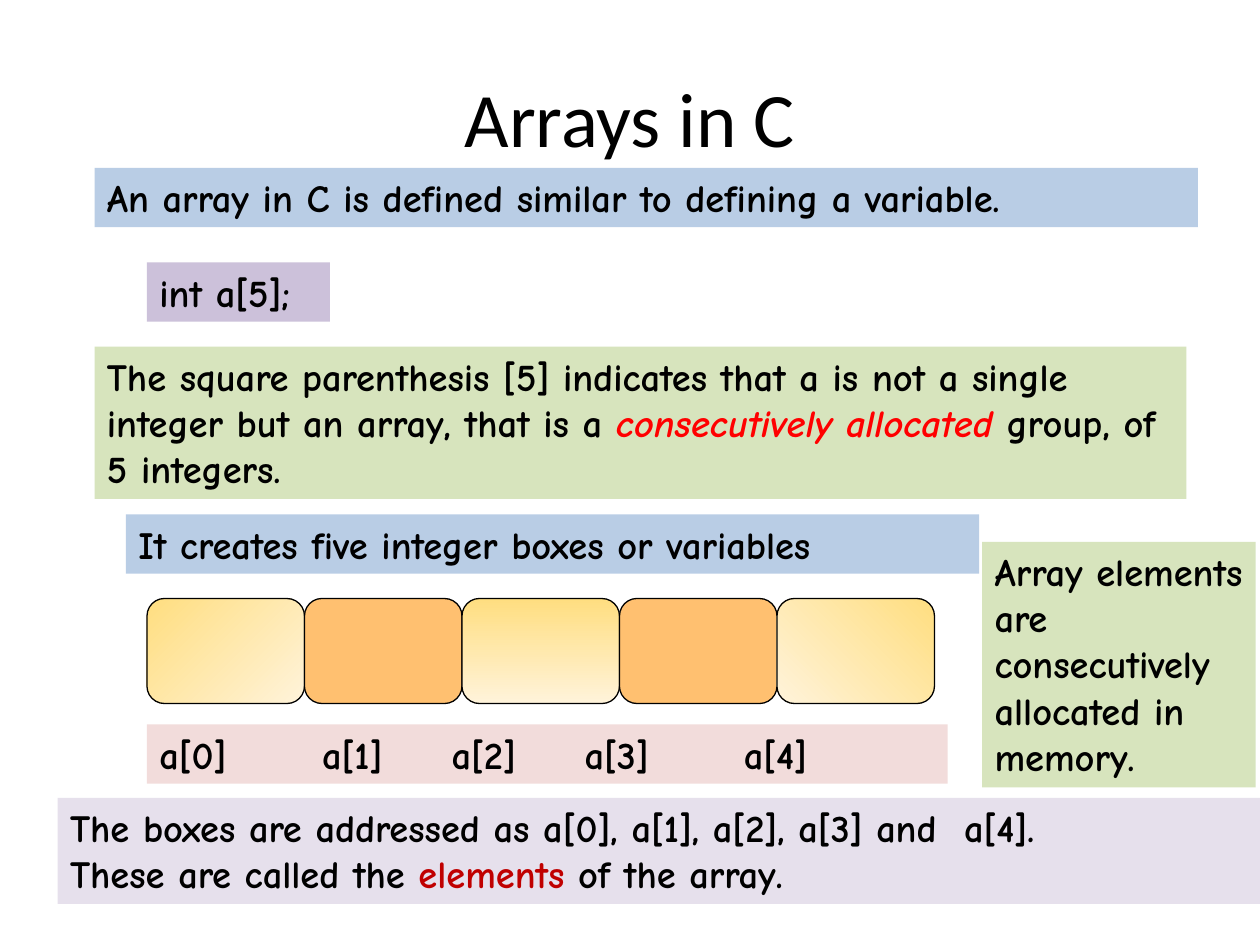
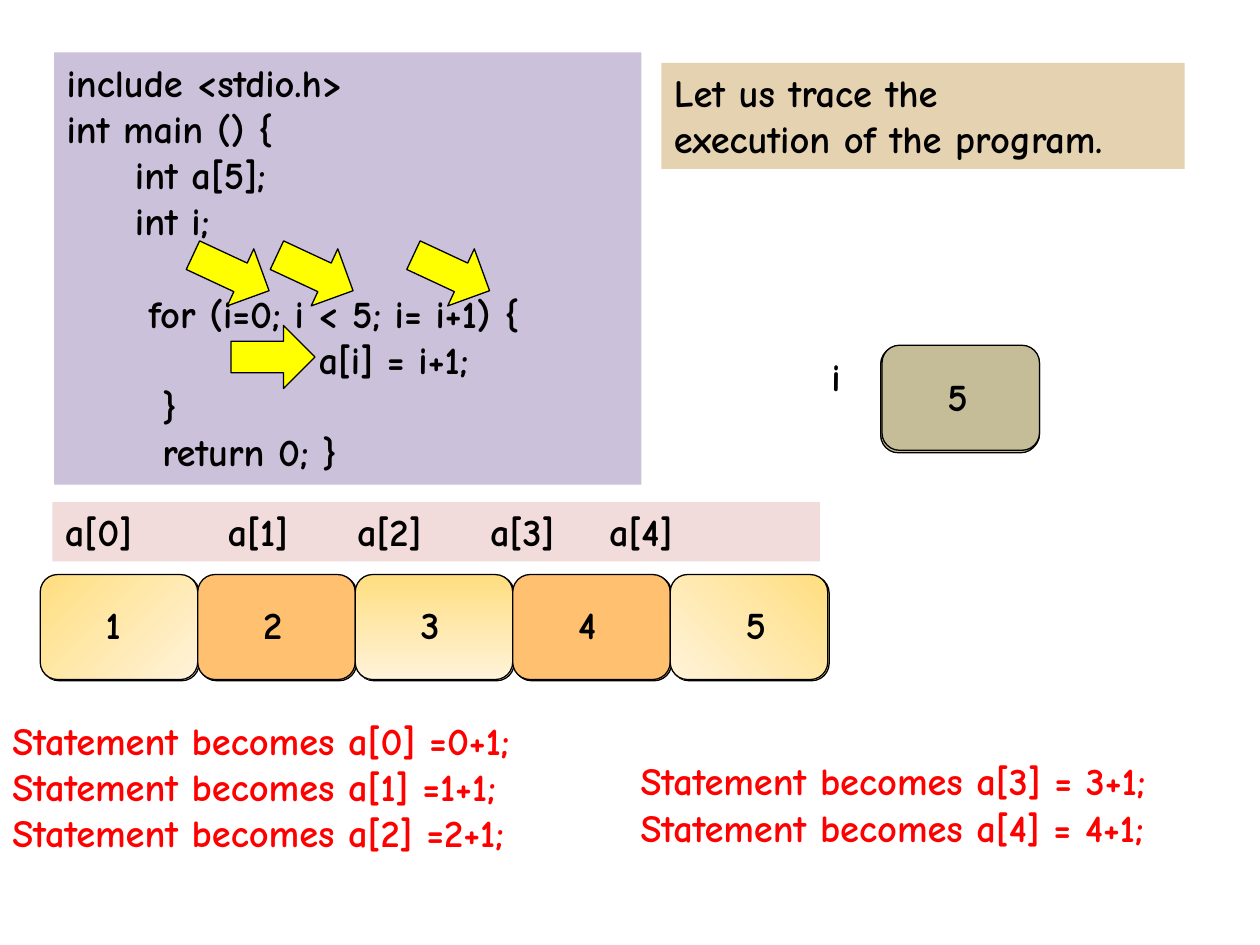
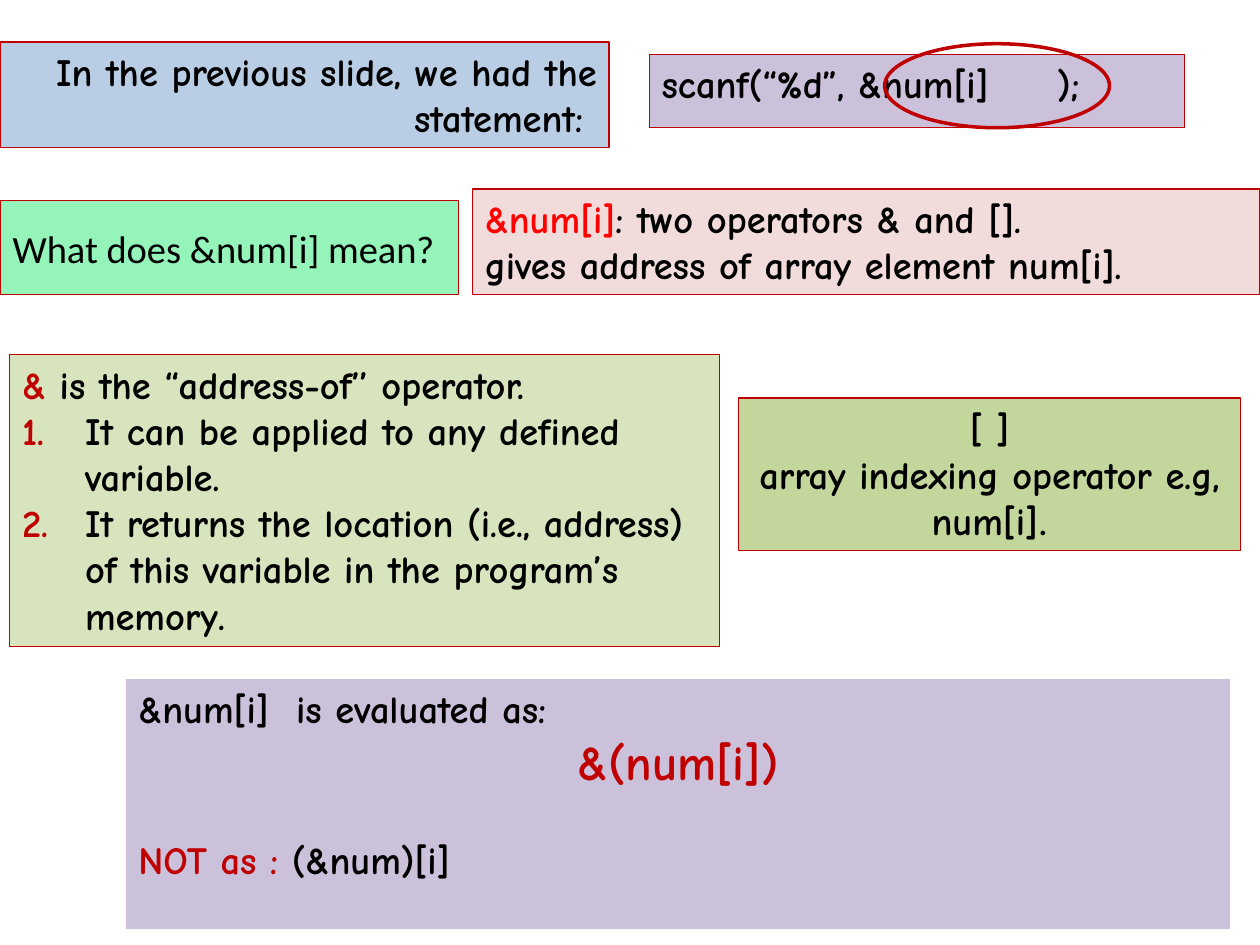
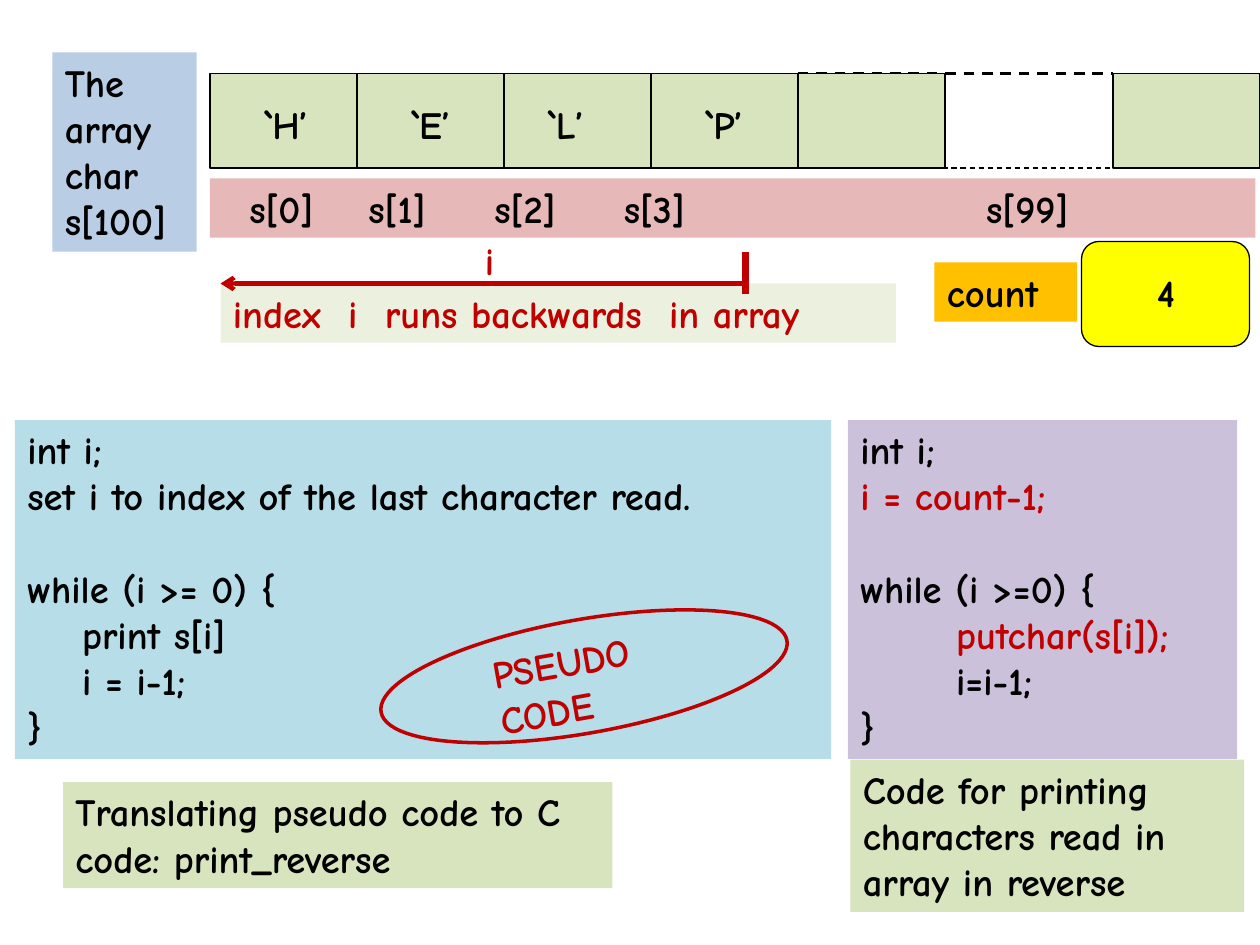
from pptx import Presentation
from pptx.dml.color import RGBColor
from pptx.enum.dml import MSO_LINE
from pptx.enum.shapes import MSO_CONNECTOR, MSO_SHAPE
from pptx.enum.text import MSO_ANCHOR, PP_ALIGN
from pptx.oxml.ns import qn
from pptx.util import Pt
from lxml import etree

LEFT, CENTER, RIGHT = PP_ALIGN.LEFT, PP_ALIGN.CENTER, PP_ALIGN.RIGHT
MIDDLE = MSO_ANCHOR.MIDDLE
RECT, ROUNDED = MSO_SHAPE.RECTANGLE, MSO_SHAPE.ROUNDED_RECTANGLE
OVAL, ARROW = MSO_SHAPE.OVAL, MSO_SHAPE.RIGHT_ARROW
STRAIGHT, DASH = MSO_CONNECTOR.STRAIGHT, MSO_LINE.DASH
TITLE_ONLY, BLANK = 5, 6

BODY_FONT, TITLE_FONT = "Comic Neue", "Calibri"
BODY_SIZE = 22
LINE_HEIGHT = 26.65
BLANK_LINE = 26.4
CELL_W, CELL_H = 90, 60

COLORS = {
    "black": "000000", "red": "FF0000", "crimson": "C00000",
    "blue": "B9CDE5", "purple": "CCC1DA", "lavender": "E6E0EC",
    "green": "D7E4BD", "olive": "C3D69B", "pale": "EBF1DE",
    "pink": "F2DCDB", "rose": "E6B9B8", "tan": "E5D2B1",
    "khaki": "C4BD97", "mint": "94F4B9", "aqua": "B7DEE8",
    "yellow": "FFFF00", "amber": "FFC000", "orange": "FFC070",
    "cream_dark": "FFDE80", "cream_light": "FFF3DA",
}


def rgb(name):
    return RGBColor.from_string(COLORS[name])


def paint(shape, fill=None, line=None, width=0.75):
    if fill:
        shape.fill.solid()
        shape.fill.fore_color.rgb = rgb(fill)
    else:
        shape.fill.background()
    if line:
        shape.line.color.rgb = rgb(line)
        shape.line.width = Pt(width)
    else:
        shape.line.fill.background()


def format_run(r, color="black", size=BODY_SIZE, name=BODY_FONT, bold=True):
    r.font.name = name
    r.font.size = Pt(size)
    r.font.bold = bold
    r.font.color.rgb = rgb(color)


def write(tf, paragraphs, color="black", align=LEFT):
    for i, runs in enumerate(paragraphs):
        p = tf.paragraphs[0] if i == 0 else tf.add_paragraph()
        p.alignment = align
        for run in [runs] if isinstance(runs, str) else runs:
            text, run_color = (run, color) if isinstance(run, str) else run
            r = p.add_run()
            r.text = text
            format_run(r, run_color)


def add_text(s, x, y, w, lines, paragraphs, fill=None, line=None,
             color="black", align=LEFT):
    height = Pt(round(7.2 + LINE_HEIGHT * lines, 1))
    box = s.shapes.add_textbox(Pt(x), Pt(y), Pt(w), height)
    box.text_frame.word_wrap = True
    paint(box, fill, line)
    write(box.text_frame, paragraphs, color, align)
    return box


def add_title(s, x, y, w, h, text, size, align):
    title = s.shapes.title
    title.left, title.top, title.width, title.height = Pt(x), Pt(y), Pt(w), Pt(h)
    tf = title.text_frame
    tf.text = text
    tf.word_wrap = True
    tf.vertical_anchor = MIDDLE
    p = tf.paragraphs[0]
    p.alignment = align
    format_run(p.runs[0], size=size, name=TITLE_FONT, bold=False)
    return title


def add_shape(s, kind, x, y, w, h, fill=None, line="black", width=0.75, rotation=0):
    shape = s.shapes.add_shape(kind, Pt(x), Pt(y), Pt(w), Pt(h))
    shape.shadow.inherit = False
    shape.rotation = rotation
    paint(shape, fill, line, width)
    return shape


def add_line(s, start, end, color, width, dash=None, arrow=False):
    line = s.shapes.add_connector(STRAIGHT, *[Pt(v) for v in (*start, *end)])
    line.line.color.rgb = rgb(color)
    line.line.width = Pt(width)
    if dash:
        line.line.dash_style = dash
    sp_pr = line._element.spPr
    if arrow:
        etree.SubElement(sp_pr.find(qn("a:ln")), qn("a:tailEnd"), type="arrow")
    etree.SubElement(sp_pr, qn("a:effectLst"))


def indent(p, left, first=0):
    p_pr = p._p.get_or_add_pPr()
    p_pr.set("marL", str(Pt(left)))
    p_pr.set("indent", str(Pt(first)))
    return p_pr


def number(p, color):
    p_pr = indent(p, 36, -36)
    bu_clr = etree.SubElement(p_pr, qn("a:buClr"))
    etree.SubElement(bu_clr, qn("a:srgbClr"), val=COLORS[color])
    etree.SubElement(p_pr, qn("a:buFont"), typeface="+mj-lt")
    etree.SubElement(p_pr, qn("a:buAutoNum"), type="arabicPeriod")


def set_tabs(p, stops):
    tab_lst = etree.SubElement(p._p.get_or_add_pPr(), qn("a:tabLst"))
    for stop in stops:
        etree.SubElement(tab_lst, qn("a:tab"), pos=str(Pt(stop)), algn="l")


def add_labels(s, x, y, w, labels, stops, fill):
    box = add_text(s, x, y, w, 1, ["\t".join(labels)], fill)
    set_tabs(box.text_frame.paragraphs[0], stops)
    return box


def add_array(s, x, y):
    for i, angle in enumerate((315, None, 270, None, 225)):
        cell = add_shape(s, ROUNDED, x + i * CELL_W, y, CELL_W, CELL_H, "orange")
        if angle:
            cell.fill.gradient()
            cell.fill.gradient_angle = angle
            for stop, name in zip(cell.fill.gradient_stops,
                                  ("cream_dark", "cream_light")):
                stop.color.rgb = rgb(name)


def build_definition(prs):
    s = prs.slides.add_slide(prs.slide_layouts[TITLE_ONLY])
    add_title(s, 36, 21.6, 648, 90, "Arrays in C", 44, CENTER)
    add_text(s, 54, 96, 630.5, 1,
             ["An array in C is defined similar to defining a variable."], "blue")
    add_text(s, 84, 150, 104.5, 1, ["int a[5];"], "purple")
    meaning = add_text(s, 54, 198, 624, 3, [[
        "The square parenthesis [5] indicates that a is not a single integer "
        "but an array, that is a ",
        ("consecutively allocated", "red"), " group, of 5 integers."]], "green")
    meaning.text_frame.paragraphs[0].runs[1].font.italic = True
    add_text(s, 72, 294, 487.5, 1,
             ["It creates five integer boxes or variables"], "blue")
    add_text(s, 33, 456, 687, 2, [
        "The boxes are addressed as a[0], a[1], a[2], a[3] and  a[4].",
        ["These are called the ", ("elements", "crimson"), " of the array."],
    ], "lavender")
    add_array(s, 84, 342)
    add_labels(s, 84, 414, 457.5, [f"a[{i}]" for i in range(5)],
               (93, 167, 243, 334), "pink")
    add_text(s, 561.3, 309.6, 156.3, 5,
             ["Array elements are consecutively allocated in memory."], "green")


def build_trace(prs):
    s = prs.slides.add_slide(prs.slide_layouts[BLANK])
    code = add_text(s, 31, 30, 335.5, 9, [
        "include <stdio.h>",
        "int main () {",
        "     int a[5];",
        "     int i;",
        "      for (i=0; i < 5; i= i+1) {",
        "\t\ta[i] = i+1;",
        "       }",
        "       return 0; }",
    ], "purple")
    loop, assignment = code.text_frame.paragraphs[4:6]
    loop.space_before = Pt(BLANK_LINE)
    set_tabs(assignment, (72, 144))

    add_array(s, 23.8, 329)
    add_labels(s, 30, 287, 438.5, [f"a[{i}]" for i in range(5)],
               (93, 167, 243, 311), "pink")
    add_array(s, 23, 328.3)
    for i, x in enumerate((53.3, 143.3, 233.3, 323.3, 419), 1):
        add_text(s, x, 340, 28, 1, [str(i)])

    add_text(s, 468, 198, 30, 1, ["i"])
    for x, y in ((503.3, 198), (504, 198), (503.3, 198.7), (504, 197.3)):
        add_shape(s, ROUNDED, x, y, CELL_W, CELL_H, "khaki")
    add_text(s, 534.3, 209.5, 28, 1, ["5"])

    add_text(s, 378, 36, 299, 2,
             ["Let us trace the", "execution of the program."], "tan")
    for x, y, rotation in ((108, 138, 25), (132, 186, 0),
                           (234, 138, 25), (156, 138, 25)):
        add_shape(s, ARROW, x, y, 48, 36, "yellow", rotation=rotation)

    add_text(s, 0, 406, 351, 3,
             [f"Statement becomes a[{i}] ={i}+1;" for i in range(3)], color="red")
    add_text(s, 359, 429.3, 361, 2,
             [f"Statement becomes a[{i}] = {i}+1;" for i in (3, 4)], color="red")


def build_operators(prs):
    s = prs.slides.add_slide(prs.slide_layouts[TITLE_ONLY])
    title = add_title(s, 0, 114.5, 262, 54, "What does &num[i] mean?", 22, LEFT)
    paint(title, "mint", "crimson")

    evaluation = add_text(s, 72, 388, 631, 5, [
        "&num[i]  is evaluated as:",
        [("&(num[i])", "crimson")],
        [("NOT as : ", "crimson"), "(&num)[i]"],
    ], "purple")
    evaluation.height = Pt(143)
    _, grouped, wrong = evaluation.text_frame.paragraphs
    grouped.alignment = CENTER
    grouped.runs[0].font.size = Pt(28)
    wrong.space_before = Pt(BLANK_LINE)

    address = add_text(s, 5.5, 202.5, 405.5, 6, [
        [("&", "crimson"), " is the “address-of’’ operator."],
        "It can be applied to any defined variable.",
        "It returns the location (i.e., address) of this variable in the "
        "program’s memory.",
    ], "green", "crimson")
    for p in address.text_frame.paragraphs[1:]:
        number(p, "crimson")

    scanf = add_labels(s, 371, 31, 306, ["scanf(“%d”, &num[i]", ");"], (226,), "purple")
    paint(scanf, "purple", "crimson")
    scanf.height = Pt(42)
    add_shape(s, OVAL, 505.5, 25, 128.5, 48, line="crimson", width=2)

    indexing = add_text(s, 422, 227.5, 287, 3,
                        ["[ ]", ["array indexing operator e.g, num[i]", "."]],
                        "olive", "crimson", align=CENTER)
    format_run(indexing.text_frame.paragraphs[1].runs[1],
               name=TITLE_FONT, bold=False)
    add_text(s, 0, 24, 348, 2, ["In the previous slide, we had the statement: "],
             "blue", "crimson", align=RIGHT)
    add_text(s, 270, 108, 450, 2, [
        [("&num[i]", "red"), ": two operators & and []."],
        "gives address of array element num[i].",
    ], "pink", "crimson")


def build_reverse(prs):
    s = prs.slides.add_slide(prs.slide_layouts[BLANK])
    add_text(s, 126, 162, 386, 1, ["index  i  runs backwards  in array"],
             "pale", color="crimson")

    left, top, cell_w, cell_h = 120, 42, 84, 54
    gap_x, last_x = left + 4 * cell_w, 636
    for x in [left + i * cell_w for i in range(4)] + [last_x]:
        add_shape(s, RECT, x, top, cell_w, cell_h, "green")
    for y, width in ((top, 1.5), (top + cell_h, 0.75)):
        add_line(s, (gap_x, y), (last_x, y), "black", width, DASH)
    add_shape(s, RECT, gap_x, top, cell_w, cell_h, "green")

    labels = add_labels(s, left, 102, 597.5,
                        ["s[0]", "s[1]", "s[2]", "s[3]", "s[99]"],
                        (68, 140, 214, 421), "rose")
    labels.text_frame.margin_left = Pt(22.5)
    add_text(s, 30, 30, 82.5, 4, ["The", "array", "char", "s[100]"], "blue")
    for x, letter in zip((144, 228, 306, 396), "HELP"):
        add_text(s, x, 54, 48, 1, [f"`{letter}’"])

    add_shape(s, ROUNDED, 618, 138, 96, 60, "yellow")
    add_text(s, 534, 150, 81.5, 1, ["count"], "amber")
    add_text(s, 654, 150, 28, 1, ["4"])

    add_line(s, (426, 162), (126, 162), "crimson", 2.5, arrow=True)
    add_text(s, 270, 132, 21, 1, ["i"], color="crimson")
    add_line(s, (426, 144), (426, 168), "crimson", 3.5)

    pseudo = add_text(s, 8.5, 240, 466.5, 7, [
        "int i;",
        "set i to index of the last character read.",
        "while (i >= 0) {",
        "    print s[i]",
        "    i = i-1;",
        "}",
    ], "aqua")
    stamp = add_text(s, 244, 362, 154, 2, ["PSEUDO", "CODE"], color="crimson")
    stamp.rotation = -10
    for p in stamp.text_frame.paragraphs:
        indent(p, 32)
    add_shape(s, OVAL, 216, 354, 235.5, 65, line="crimson", width=2, rotation=-10)

    code = add_text(s, 484.5, 240, 222.5, 7, [
        "int i;",
        [("i = count-1;", "crimson")],
        "while (i >=0) {",
        [("       putchar(s[i]);", "crimson")],
        "       i=i-1;",
        "}",
    ], "purple")
    for listing in (pseudo, code):
        listing.text_frame.paragraphs[2].space_before = Pt(BLANK_LINE)

    add_text(s, 486, 434, 225, 3,
             ["Code for printing", "characters read in", "array in reverse"], "green")
    add_text(s, 36, 447, 314, 2,
             ["Translating pseudo code to C code: print_reverse"], "green")


def main():
    prs = Presentation()
    prs.slide_width, prs.slide_height = Pt(720), Pt(540)
    build_definition(prs)
    build_trace(prs)
    build_operators(prs)
    build_reverse(prs)
    prs.save("out.pptx")


if __name__ == "__main__":
    main()
